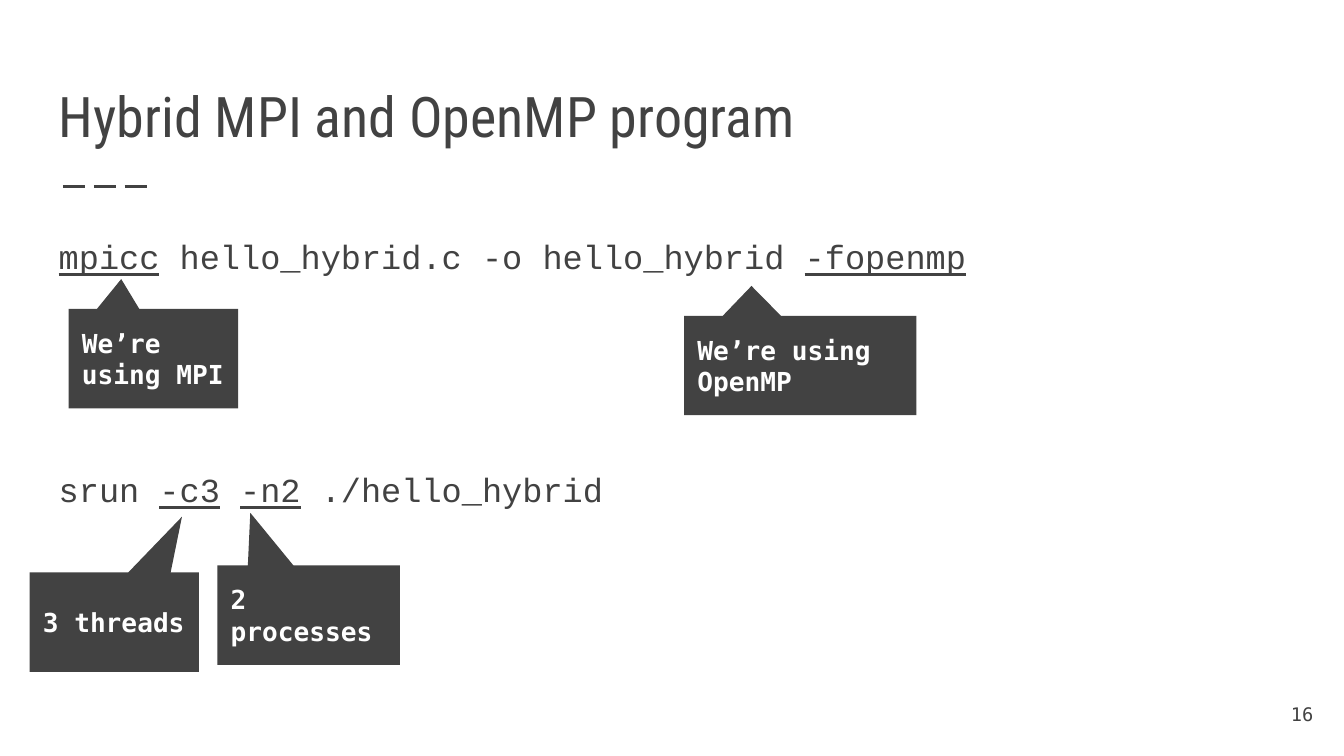
from lxml import etree
from pptx import Presentation
from pptx import util as u
from pptx.dml.color import RGBColor
from pptx.enum import dml, shapes, text
from pptx.oxml.ns import qn

HUES = {"ink": "424242", "paper": "FFFFFF"}
HEAD = dict(name="Roboto Condensed", size=u.Pt(30), bold=False)
CODE = dict(name="Courier New", size=u.Pt(18))
NOTE = dict(name="DejaVu Sans Mono", size=u.Pt(14), bold=True)
PAGE = dict(name="DejaVu Sans Mono", size=u.Pt(10))
LEFT, WIDE, TALL = 0.86, 23.67, 1.88


def put(item, values):
    for key, value in values.items():
        setattr(item, key, value)


def hue(key):
    return RGBColor.from_string(HUES[key])


class Deck:
    def __init__(self):
        self.show = Presentation()
        put(self.show, dict(slide_width=u.Cm(25.4), slide_height=u.Cm(14.29)))
        self.slide = self.show.slides.add_slide(self.show.slide_layouts[5])
        fill = self.slide.background.fill
        fill.solid()
        fill.fore_color.rgb = hue("paper")

    def frame(self, shape, anchor):
        frame = shape.text_frame
        pad = u.Cm(0.25)
        put(frame, dict(word_wrap=True, auto_size=text.MSO_AUTO_SIZE.NONE,
                        vertical_anchor=anchor, margin_left=pad,
                        margin_right=pad, margin_top=pad, margin_bottom=pad))
        return frame

    def run(self, para, words, font, color="ink", **extra):
        run = para.add_run()
        run.text = words
        put(run.font, {**font, **extra})
        run.font.color.rgb = hue(color)

    def title(self, words, top, tall):
        shape = self.slide.shapes.title
        put(shape, dict(left=u.Cm(LEFT), top=u.Cm(top),
                        width=u.Cm(WIDE), height=u.Cm(tall)))
        para = self.frame(shape, text.MSO_ANCHOR.BOTTOM).paragraphs[0]
        para.alignment = text.PP_ALIGN.LEFT
        self.run(para, words, HEAD)

    def rule(self, left, right, top):
        line = self.slide.shapes.add_connector(
            shapes.MSO_CONNECTOR.STRAIGHT, u.Cm(left), u.Cm(top),
            u.Cm(right), u.Cm(top))
        put(line.line, dict(width=u.Pt(1.5),
                            dash_style=dml.MSO_LINE.LONG_DASH))
        line.line.color.rgb = hue("ink")
        etree.SubElement(line._element.spPr, qn("a:effectLst"))

    def box(self, left, top, wide, tall, anchor):
        shape = self.slide.shapes.add_textbox(
            u.Cm(left), u.Cm(top), u.Cm(wide), u.Cm(tall))
        return self.frame(shape, anchor)

    def code(self, lines, top, tall, gap):
        frame = self.box(LEFT, top, WIDE, tall, text.MSO_ANCHOR.TOP)
        for i, line in enumerate(lines):
            para = frame.add_paragraph() if i else frame.paragraphs[0]
            put(para, dict(line_spacing=1.15, space_before=u.Pt(gap * i)))
            for words, under in line:
                self.run(para, words, CODE, underline=under)

    def note(self, words, left, top, wide, tip):
        shape = self.slide.shapes.add_shape(
            shapes.MSO_SHAPE.ROUNDED_RECTANGULAR_CALLOUT,
            u.Cm(left), u.Cm(top), u.Cm(wide), u.Cm(TALL))
        for i, value in enumerate((*tip, 0)):
            shape.adjustments[i] = value
        shape.shadow.inherit = False
        shape.fill.solid()
        shape.fill.fore_color.rgb = hue("ink")
        shape.line.fill.background()
        para = self.frame(shape, text.MSO_ANCHOR.MIDDLE).paragraphs[0]
        para.alignment = text.PP_ALIGN.LEFT
        self.run(para, words, NOTE, "paper")

    def page(self, words):
        frame = self.box(23.55, 12.95, 1.52, 1.09, text.MSO_ANCHOR.MIDDLE)
        para = frame.paragraphs[0]
        para.alignment = text.PP_ALIGN.RIGHT
        self.run(para, words, PAGE)


def main():
    deck = Deck()
    deck.rule(1.19, 2.9, 3.53)
    deck.title("Hybrid MPI and OpenMP program", 1.04, 2.03)
    build = [("mpicc", True), (" hello_hybrid.c -o hello_hybrid ", False),
             ("-fopenmp", True)]
    launch = [("srun ", False), ("-c3", True), (" ", False), ("-n2", True),
              (" ./hello_hybrid", False)]
    deck.code([build, launch], 4.09, 8.61, 100)
    for note in [
        ("3 threads", 0.56, 10.82, 3.2, (0.4, -1.06)),
        ("2 processes", 4.11, 10.69, 3.45, (-0.32, -1.03)),
        ("We’re using MPI", 1.3, 5.84, 3.2, (-0.19, -0.8)),
        ("We’re using OpenMP", 12.93, 5.97, 4.39, (-0.21, -0.8)),
    ]:
        deck.note(*note)
    deck.page("16")
    deck.show.save("out.pptx")


if __name__ == "__main__":
    main()
